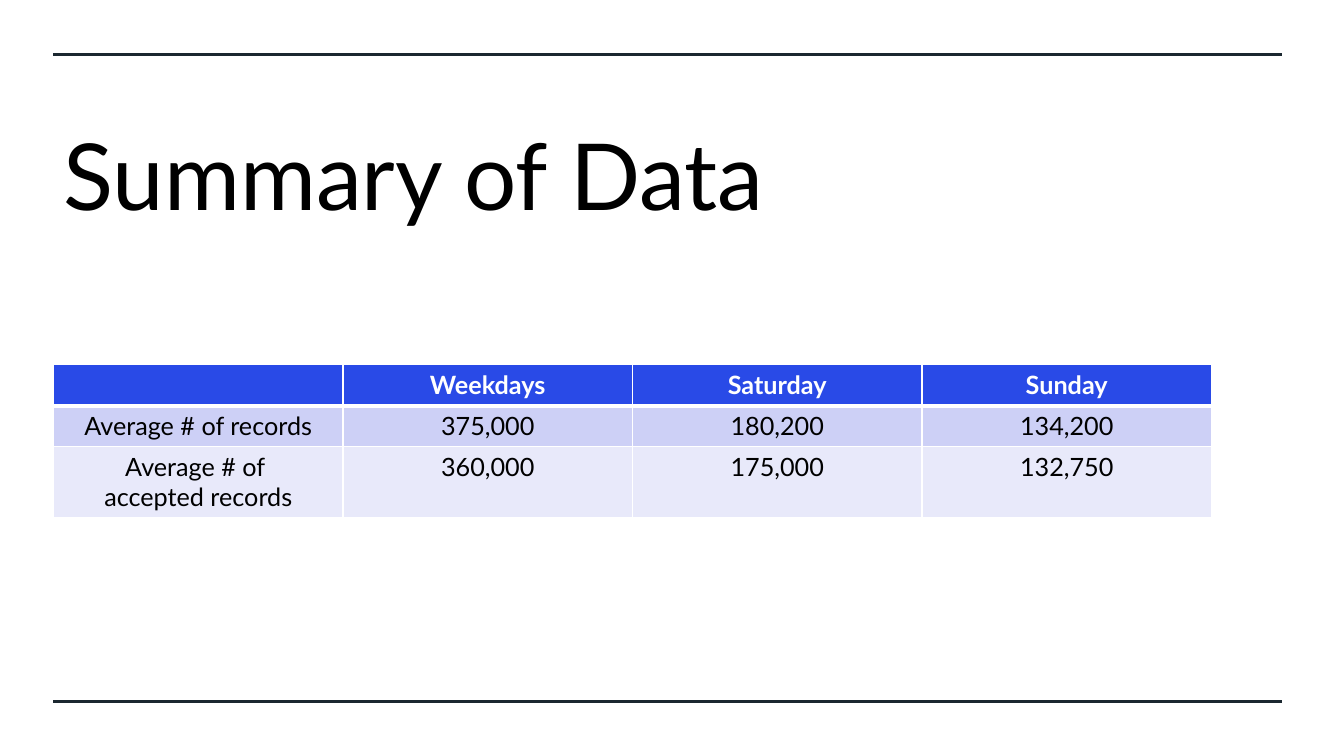
from lxml.etree import SubElement
from pptx import Presentation
from pptx.dml.color import RGBColor
from pptx.enum.shapes import MSO_CONNECTOR
from pptx.enum.text import MSO_ANCHOR, MSO_AUTO_SIZE, PP_ALIGN
from pptx.oxml.ns import qn
from pptx.util import Pt

BLACK = RGBColor(0x00, 0x00, 0x00)
WHITE = RGBColor(0xFF, 0xFF, 0xFF)
RULE = RGBColor(0x1B, 0x28, 0x30)
HEADER = RGBColor(0x29, 0x4A, 0xE7)
BAND_DARK = RGBColor(0xCD, 0xD0, 0xF6)
BAND_LIGHT = RGBColor(0xE8, 0xE9, 0xFA)

LEFT = 38.2
RULE_RIGHT = 915.8
COL_WIDTH = 206.8
ROW_HEIGHTS = [29.2, 29.2, 50.2]
ROW_FILLS = [HEADER, BAND_DARK, BAND_LIGHT]
ROWS = [
    ["", "Weekdays", "Saturday", "Sunday"],
    ["Average # of records", "375,000", "180,200", "134,200"],
    ["Average # of \naccepted records", "360,000", "175,000", "132,750"],
]
TITLE_FONT = {"name": "Lato", "size": Pt(66), "bold": False}
HEADER_FONT = {"name": "Lato", "size": Pt(18), "bold": True}
BODY_FONT = {"name": "Lato", "size": Pt(18), "bold": False}


def format_text(tf, font, color, align):
    for p in tf.paragraphs:
        p.alignment = align
        for r in p.runs:
            for name, value in font.items():
                setattr(r.font, name, value)
            r.font.color.rgb = color


def add_rule(slide, y):
    line = slide.shapes.add_connector(
        MSO_CONNECTOR.STRAIGHT, Pt(LEFT), Pt(y), Pt(RULE_RIGHT), Pt(y))
    line.line.color.rgb = RULE
    line.line.width = Pt(2.25)
    SubElement(line._element.spPr, qn("a:effectLst"))


def set_title(slide, text):
    sp = slide.shapes.title
    sp.left, sp.top, sp.width, sp.height = Pt(LEFT), Pt(38.9), Pt(837.4), Pt(169.9)
    tf = sp.text_frame
    tf.text = text
    tf.word_wrap = True
    tf.auto_size = MSO_AUTO_SIZE.NONE
    tf.vertical_anchor = MSO_ANCHOR.MIDDLE
    format_text(tf, TITLE_FONT, BLACK, PP_ALIGN.LEFT)


def set_borders(cell, widths):
    tcPr = cell._tc.get_or_add_tcPr()
    for side, width in widths.items():
        ln = SubElement(tcPr, qn(f"a:ln{side}"), w=str(Pt(width)))
        fill = SubElement(ln, qn("a:solidFill"))
        SubElement(fill, qn("a:srgbClr"), val=str(WHITE))


def add_data_table(slide):
    frame = slide.shapes.add_table(
        len(ROWS), len(ROWS[0]), Pt(LEFT), Pt(260.6),
        Pt(COL_WIDTH * len(ROWS[0])), Pt(sum(ROW_HEIGHTS)))
    table = frame.table
    for col in table.columns:
        col.width = Pt(COL_WIDTH)
    for i, values in enumerate(ROWS):
        table.rows[i].height = Pt(ROW_HEIGHTS[i])
        font, color = (BODY_FONT, BLACK) if i else (HEADER_FONT, WHITE)
        widths = {"L": 1, "R": 1, "T": 3 if i == 1 else 1, "B": 1 if i else 3}
        for j, value in enumerate(values):
            cell = table.cell(i, j)
            set_borders(cell, widths)
            cell.fill.solid()
            cell.fill.fore_color.rgb = ROW_FILLS[i]
            cell.text = value
            format_text(cell.text_frame, font, color, PP_ALIGN.CENTER)


def main():
    prs = Presentation()
    prs.slide_width, prs.slide_height = Pt(960), Pt(540)
    slide = prs.slides.add_slide(prs.slide_layouts[5])
    for y in (38.9, 501.1):
        add_rule(slide, y)
    set_title(slide, "Summary of Data")
    add_data_table(slide)
    prs.save("out.pptx")


if __name__ == "__main__":
    main()
